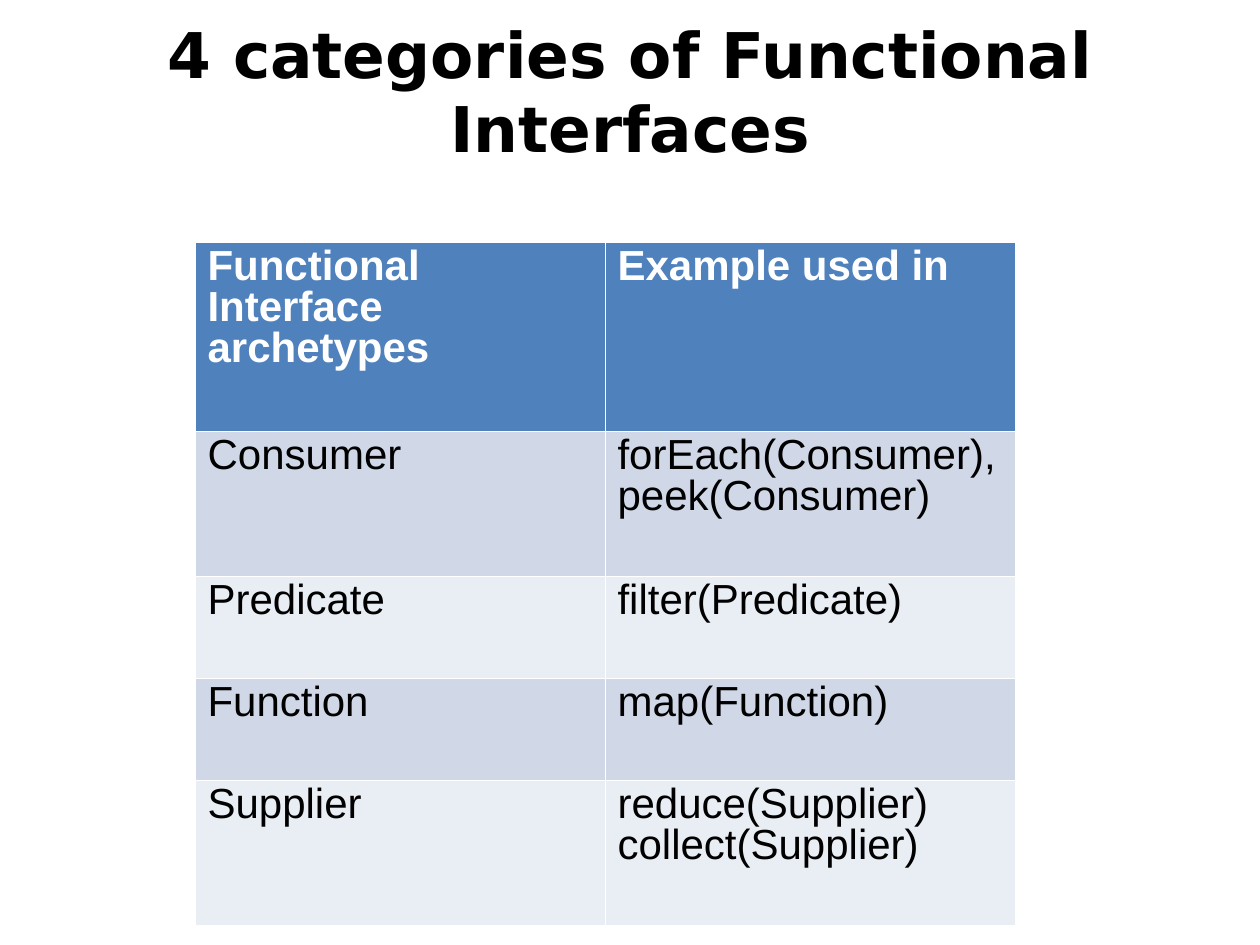
import pptx
import pptx.util
import pptx.dml.color
import pptx.enum.text
import pptx.oxml
import pptx.oxml.ns
from dataclasses import dataclass

EMU = 914400 / 126  # one px
HUES = {
    "head": "4F81BD",
    "odd": "D0D8E8",
    "even": "E9EDF4",
    "white": "FFFFFF",
    "black": "000000",
}
ALIGN = pptx.enum.text.PP_ALIGN
ANCHOR = pptx.enum.text.MSO_ANCHOR


@dataclass
class Row:
    kind: str
    uses: str
    high: int


ROWS = [
    Row("Functional Interface archetypes", "Example used in", 189),
    Row("Consumer", "forEach(Consumer), peek(Consumer)", 145),
    Row("Predicate", "filter(Predicate)", 102),
    Row("Function", "map(Function)", 102),
    Row("Supplier", "reduce(Supplier)\ncollect(Supplier)", 145),
]


def px(num: int) -> int:
    return pptx.util.Emu(round(num * EMU))


def color(name: str):
    return pptx.dml.color.RGBColor.from_string(HUES[name])


def write(frame, text: str, *, size: int, font: str, hue: str = "black",
          bold: bool = False, align=ALIGN.LEFT, lead: float = 1.0) -> None:
    frame.word_wrap = True
    frame.text = text
    for para in frame.paragraphs:
        para.alignment = align
        para.line_spacing = lead
        for run in para.runs:
            run.font.size = pptx.util.Pt(size)
            run.font.name = font
            run.font.bold = bold
            run.font.color.rgb = color(hue)


def edge(cell, hue: str, width: float) -> None:
    """Line all four sides; borders must come before the fill."""
    props = cell._tc.get_or_add_tcPr()
    space = pptx.oxml.ns.nsdecls("a")
    for spot, side in enumerate(("lnL", "lnR", "lnT", "lnB")):
        props.insert(spot, pptx.oxml.parse_xml(
            f'<a:{side} {space} w="{pptx.util.Pt(width)}"><a:solidFill>'
            f'<a:srgbClr val="{HUES[hue]}"/></a:solidFill></a:{side}>'))


def grid(slide, rows: list[Row], left: int, top: int, wide: int) -> None:
    high = sum(row.high for row in rows)
    table = slide.shapes.add_table(
        len(rows), 2, px(left), px(top), px(2 * wide), px(high)).table
    for col in table.columns:
        col.width = px(wide)
    for num, row in enumerate(rows):
        table.rows[num].height = px(row.high)
        head = num == 0
        fill = "head" if head else "odd" if num % 2 else "even"
        for cell, text in zip(table.rows[num].cells, (row.kind, row.uses)):
            write(cell.text_frame, text, size=24, font="Arial", bold=head,
                  hue="white" if head else "black", lead=0.87)
            cell.fill.solid()
            cell.fill.fore_color.rgb = color(fill)
            edge(cell, "white", 0.06)


def title(slide, text: str) -> None:
    box = slide.shapes.add_textbox(px(63), px(18), px(1134), px(150))
    frame = box.text_frame
    frame.margin_left = frame.margin_right = 0
    frame.margin_top = frame.margin_bottom = 0
    frame.vertical_anchor = ANCHOR.MIDDLE
    write(frame, text, size=36, font="DejaVu Sans", bold=True,
          align=ALIGN.CENTER, lead=0.98)


def main() -> None:
    deck = pptx.Presentation()
    deck.slide_width, deck.slide_height = px(1260), px(945)
    slide = deck.slides.add_slide(deck.slide_layouts[6])

    # Table of archetypes
    grid(slide, ROWS, left=195, top=242, wide=410)

    # Heading
    title(slide, "4 categories of Functional Interfaces")

    deck.save("out.pptx")


if __name__ == "__main__":
    main()
